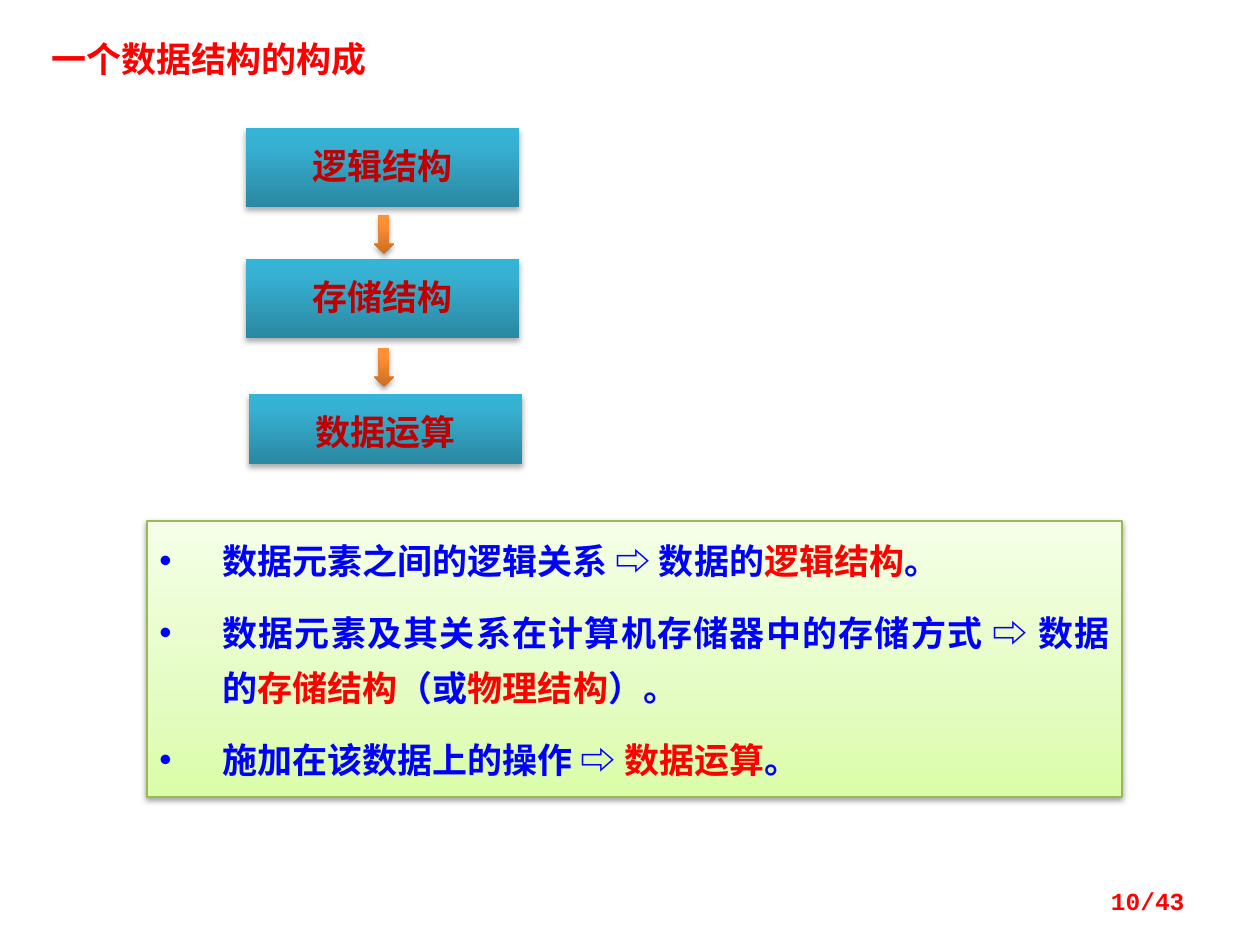
from dataclasses import dataclass

from lxml.etree import SubElement
from pptx import Presentation
from pptx.dml.color import RGBColor
from pptx.enum.shapes import MSO_SHAPE as Shape
from pptx.enum.text import MSO_ANCHOR as Anchor, PP_ALIGN as Align
from pptx.oxml import parse_xml
from pptx.oxml.ns import nsdecls, qn
from pptx.util import Emu, Pt

EMU_PER_PX = 914400 / 126


@dataclass(frozen=True)
class Theme:
    red: str = "FF0000"
    dark_red: str = "C00000"
    blue: str = "0000FF"
    border: str = "98B955"
    shadow: str = "000000"
    teal: tuple = ((0, "2A88A2"), (80, "37B1D2"), (100, "34B4D6"))
    orange: tuple = ((0, "CC6E20"), (80, "FF9034"), (100, "FF9136"))
    lime: tuple = ((0, "DAFDA7"), (35, "E4FCC2"), (100, "F5FFE7"))
    body_size: int = 20
    page_size: int = 14
    chinese: str = "Noto Sans CJK SC"
    mono: str = "Courier New"


def px(length):
    return Emu(round(length * EMU_PER_PX))


def write(paragraph, text, *, size, color, font, east_asian=None):
    run = paragraph.add_run()
    run.text = text
    run.font.size = Pt(size)
    run.font.bold = True
    run.font.name = font
    run.font.color.rgb = RGBColor.from_string(color)
    SubElement(run.font._element, qn("a:ea"), typeface=east_asian or font)


class SlideBuilder:
    def __init__(self, slide, theme):
        self.slide = slide
        self.theme = theme

    def text(self, box, text, *, align=Align.LEFT, anchor=Anchor.TOP, spacing=None, **style):
        text_box = self.slide.shapes.add_textbox(*map(px, box))
        frame = text_box.text_frame
        frame.word_wrap = True
        frame.vertical_anchor = anchor
        paragraph = frame.paragraphs[0]
        paragraph.alignment = align
        paragraph.line_spacing = spacing
        write(paragraph, text, **style)

    def block(self, kind, box, stops, opacity, blur, distance, border=None):
        shape = self.slide.shapes.add_shape(kind, *map(px, box))
        self.gradient(shape, stops)
        if border:
            shape.line.color.rgb = RGBColor.from_string(border)
            shape.line.width = Pt(0.75)
        else:
            shape.line.fill.background()
        shape.shadow.inherit = False
        effects = shape._element.spPr.find(qn("a:effectLst"))
        effects.append(parse_xml(
            f'<a:outerShdw {nsdecls("a")} blurRad="{Pt(blur)}" dist="{Pt(distance)}" '
            f'dir="5400000" rotWithShape="0"><a:srgbClr val="{self.theme.shadow}">'
            f'<a:alpha val="{opacity * 1000}"/></a:srgbClr></a:outerShdw>'))
        return shape

    def gradient(self, shape, stops):
        marks = "".join(
            f'<a:gs pos="{position * 1000}"><a:srgbClr val="{color}"/></a:gs>'
            for position, color in stops)
        geometry = shape._element.spPr.find(qn("a:prstGeom"))
        geometry.addnext(parse_xml(
            f'<a:gradFill {nsdecls("a")} rotWithShape="1"><a:gsLst>{marks}</a:gsLst>'
            '<a:lin ang="16200000" scaled="0"/></a:gradFill>'))

    def stage(self, box, label):
        shape = self.block(Shape.RECTANGLE, box, self.theme.teal, 32, 3.5, 2.2)
        frame = shape.text_frame
        frame.margin_top = px(25)
        frame.vertical_anchor = Anchor.TOP
        paragraph = frame.paragraphs[0]
        paragraph.alignment = Align.CENTER
        paragraph.line_spacing = 0.8
        write(paragraph, label, size=self.theme.body_size,
              color=self.theme.dark_red, font=self.theme.chinese)

    def arrow(self, box):
        self.block(Shape.DOWN_ARROW, box, self.theme.orange, 35, 3.1, 1.8)

    def bullet_panel(self, box, items):
        theme = self.theme
        shape = self.block(Shape.RECTANGLE, box, theme.lime, 38, 3.1, 1.6, theme.border)
        frame = shape.text_frame
        frame.word_wrap = True
        frame.vertical_anchor = Anchor.TOP
        for index, item in enumerate(items):
            paragraph = frame.add_paragraph() if index else frame.paragraphs[0]
            properties = paragraph._p.get_or_add_pPr()
            properties.set("marL", str(px(63)))
            properties.set("indent", str(px(-63)))
            SubElement(properties, qn("a:buFont"), typeface="Arial")
            SubElement(properties, qn("a:buChar"), char="•")
            paragraph.alignment = Align.JUSTIFY
            paragraph.line_spacing = 1.3
            if index:
                paragraph.space_before = Pt(10)
            for position, part in enumerate(item):
                is_term = position % 2 == 1
                write(paragraph, part, size=theme.body_size,
                      color=theme.red if is_term else theme.blue,
                      font=theme.chinese if is_term else theme.mono,
                      east_asian=theme.chinese)


def main():
    presentation = Presentation()
    presentation.slide_width, presentation.slide_height = px(1260), px(945)
    theme = Theme()
    builder = SlideBuilder(presentation.slides.add_slide(presentation.slide_layouts[6]), theme)

    builder.text((39, 39, 452, 47), "一个数据结构的构成", spacing=0.8,
                 size=theme.body_size, color=theme.red, font=theme.chinese)
    for left, top, height, label in (
            (246, 128, 79, "逻辑结构"),
            (246, 259, 79, "存储结构"),
            (249, 394, 70, "数据运算")):
        builder.stage((left, top, 273, height), label)
    for top in (215, 348):
        builder.arrow((374, top, 20, 39))
    builder.bullet_panel((147, 521, 975, 276), (
        ("数据元素之间的逻辑关系 ⇨ 数据的", "逻辑结构", "。"),
        ("数据元素及其关系在计算机存储器中的存储方式 ⇨ 数据的", "存储结构", "（或", "物理结构", "）。"),
        ("施加在该数据上的操作 ⇨ ", "数据运算", "。")))
    builder.text((903, 876, 294, 50), "10/43", align=Align.RIGHT, anchor=Anchor.MIDDLE,
                 size=theme.page_size, color=theme.red, font=theme.mono)
    presentation.save("out.pptx")


if __name__ == "__main__":
    main()
